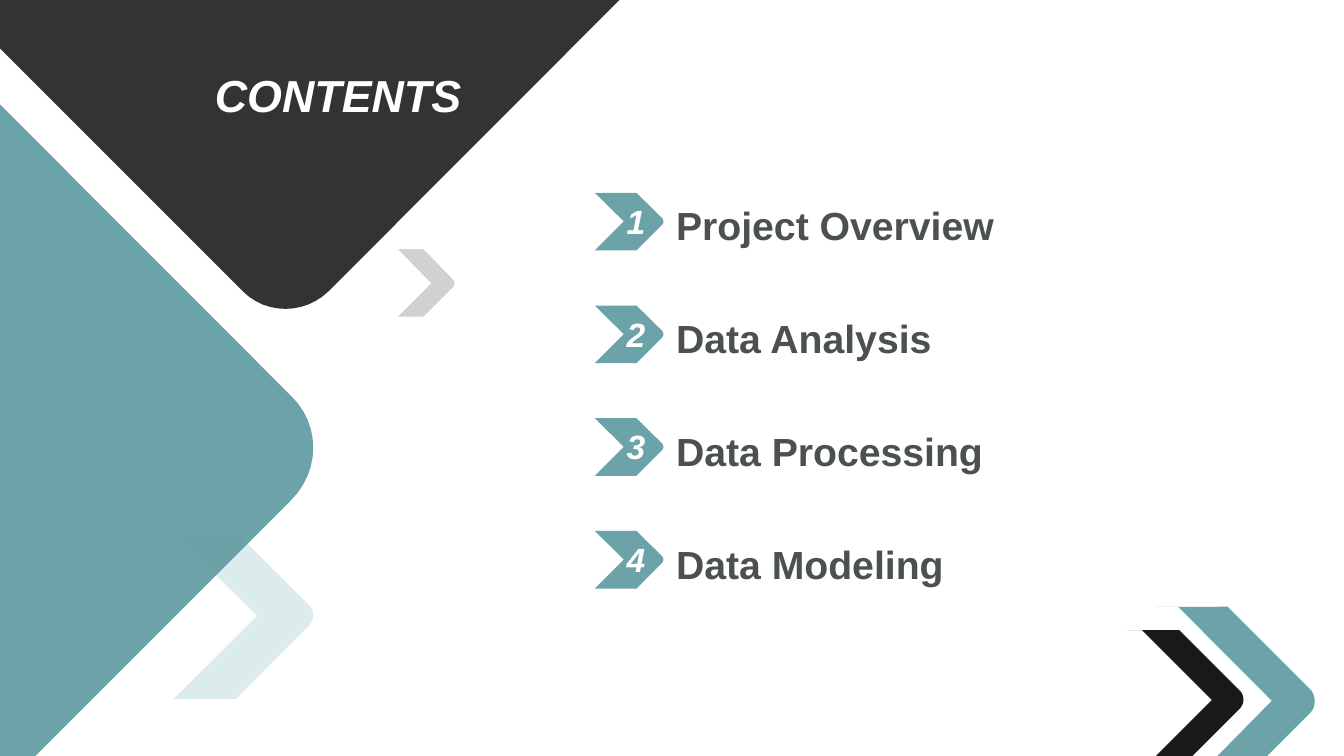
from math import cos, radians, sin

from lxml import etree
from pptx import Presentation
from pptx.dml.color import RGBColor
from pptx.enum.text import MSO_ANCHOR, MSO_AUTO_SIZE, PP_ALIGN
from pptx.oxml.ns import qn
from pptx.util import Cm, Pt

TEAL = RGBColor(0x5D, 0x99, 0x9F)
PALE = RGBColor(0xD9, 0xEA, 0xEC)
GREY = RGBColor(0xCC, 0xCC, 0xCC)
BLACK = RGBColor(0x00, 0x00, 0x00)
WHITE = RGBColor(0xFF, 0xFF, 0xFF)
TEXT = RGBColor(0x4B, 0x50, 0x50)
CURVE_STEPS = 12


def add_outline(shapes, outline, color, opacity=90, angle=45, dy=0):
    """Draw a closed outline, given in cm as it appears, as a shape turned by angle.

    A point of six numbers is a Bezier curve.
    """
    points = []
    for point in outline:
        if len(point) == 2:
            points.append(point)
            continue
        curve = [points[-1], point[:2], point[2:4], point[4:]]
        for i in range(1, CURVE_STEPS + 1):
            t = i / CURVE_STEPS
            weights = ((1 - t) ** 3, 3 * t * (1 - t) ** 2, 3 * t * t * (1 - t), t ** 3)
            points.append([sum(w * c[axis] for w, c in zip(weights, curve)) for axis in (0, 1)])

    # Turn the points back, then centre the turned shape where they belong
    co, si = cos(radians(angle)), sin(radians(angle))
    points = [(Cm(x * co + (y + dy) * si), Cm((y + dy) * co - x * si)) for x, y in points]
    builder = shapes.build_freeform(*points[0], scale=1.0)
    builder.add_line_segments(points[1:], close=True)
    sp = builder.convert_to_shape()
    cx, cy = sp.left + sp.width / 2, sp.top + sp.height / 2
    sp.left = round(cx * co - cy * si - sp.width / 2)
    sp.top = round(cx * si + cy * co - sp.height / 2)
    sp.rotation = angle

    sp.shadow.inherit = False
    sp.fill.solid()
    sp.fill.fore_color.rgb = color
    sp.line.fill.background()
    clr = sp._element.spPr.find(qn("a:solidFill")).find(qn("a:srgbClr"))
    etree.SubElement(clr, qn("a:alpha")).set("val", str(opacity * 1000))


def write(sp, text, size, color, italic, align=PP_ALIGN.LEFT):
    tf = sp.text_frame
    tf.text = text
    tf.word_wrap = False
    tf.auto_size = MSO_AUTO_SIZE.SHAPE_TO_FIT_TEXT
    tf.vertical_anchor = MSO_ANCHOR.TOP
    p = tf.paragraphs[0]
    p.alignment = align
    font = p.runs[0].font
    font.name, font.size = "Arial", Pt(size)
    font.bold, font.italic = True, italic
    font.color.rgb = color


prs = Presentation()
prs.slide_width, prs.slide_height = Cm(33.87), Cm(19.05)
s = prs.slides.add_slide(prs.slide_layouts[5])

# Background panels and corner chevrons, back to front
pale_chevron = [(4.38, 13.44), (5.97, 13.44), (7.78, 15.24),
                (7.93, 15.39, 7.93, 15.62, 7.78, 15.77),
                (5.95, 17.61), (4.38, 17.61), (6.48, 15.52)]
teal_chevron = [(29.13, 15.29), (30.94, 15.29), (33.02, 17.37),
                (33.17, 17.53, 33.17, 17.81, 33.02, 17.96),
                (31.93, 19.05), (30.68, 19.05), (32.05, 17.66), (29.69, 15.29)]
black_chevron = [(28.4, 15.88), (29.72, 15.88), (31.24, 17.4),
                 (31.37, 17.53, 31.37, 17.73, 31.24, 17.86),
                 (30.05, 19.05), (29.13, 19.05), (30.54, 17.64), (28.78, 15.88)]
left_panel = [(0, 2.63), (7.34, 9.98), (8.08, 10.7, 8.08, 11.86, 7.34, 12.6),
              (0.89, 19.05), (0, 19.05)]
top_panel = [(0, 0), (15.61, 0), (8.28, 7.34),
             (7.67, 7.93, 6.71, 7.93, 6.12, 7.34), (0, 1.22)]
grey_chevron = [(10.03, 6.28), (10.67, 6.28), (11.41, 7.04),
                (11.47, 7.1, 11.47, 7.19, 11.41, 7.24),
                (10.67, 7.98), (10.03, 7.98), (10.87, 7.14)]
for outline, color, opacity, angle in [
    (pale_chevron, PALE, 90, 45),
    (teal_chevron, TEAL, 90, 45),
    (black_chevron, BLACK, 90, 45),
    (left_panel, TEAL, 90, 45),
    (top_panel, BLACK, 80, 135),
    (grey_chevron, GREY, 90, 45),
]:
    add_outline(s.shapes, outline, color, opacity, angle)

# Numbered agenda
number_chevron = [(14.99, 4.86), (16.04, 4.86), (16.68, 5.49),
                  (16.73, 5.54, 16.73, 5.62, 16.68, 5.67),
                  (16.04, 6.31), (14.99, 6.31), (15.72, 5.58)]
ROW_STEP = 2.84
items = [("Project Overview", 8.61), ("Data Analysis", 7.04),
         ("Data Processing", 8.33), ("Data Modeling", 7.34)]
for row, (label, width) in enumerate(items):
    dy = row * ROW_STEP
    shapes = s.shapes.add_group_shape().shapes
    add_outline(shapes, number_chevron, TEAL, dy=dy)
    label_box = shapes.add_textbox(Cm(16.79), Cm(4.96 + dy), Cm(width), Cm(1.45))
    write(label_box, label, 28, TEXT, False)
    number_box = shapes.add_textbox(Cm(15.53), Cm(4.94 + dy), Cm(0.99), Cm(1.27))
    write(number_box, str(row + 1), 24, WHITE, True, PP_ALIGN.CENTER)

# Title, brought in front of the dark panel
title = s.shapes.title
title.left, title.top, title.width, title.height = Cm(5.16), Cm(1.57), Cm(6.88), Cm(1.63)
write(title, "CONTENTS", 32, WHITE, True)
title._element.getparent().append(title._element)

prs.save("out.pptx")
